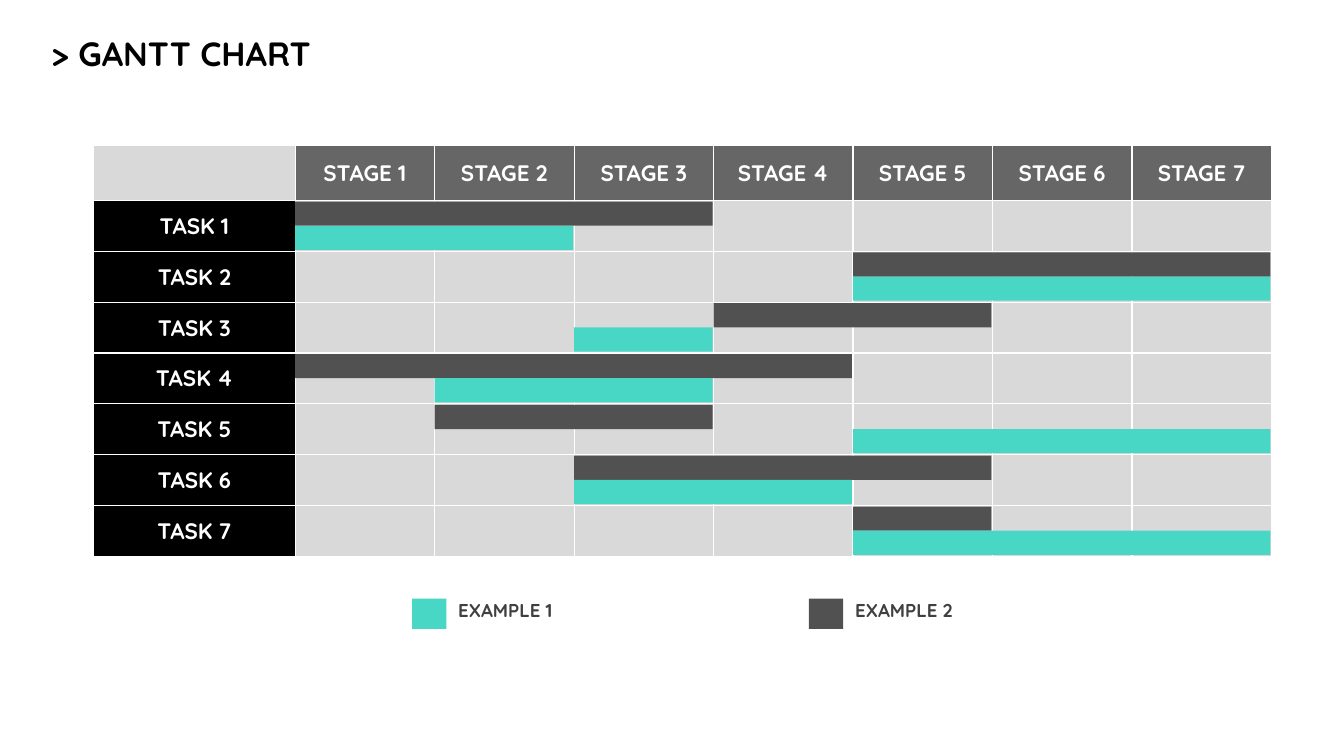
from dataclasses import dataclass

from lxml import etree
from pptx import Presentation
from pptx import util as u
from pptx.dml.color import RGBColor
from pptx.enum import shapes, text
from pptx.oxml import ns

WHITE = RGBColor(0xFF, 0xFF, 0xFF)
BLACK = RGBColor(0x00, 0x00, 0x00)
TEAL = RGBColor(0x48, 0xD7, 0xC4)
CHARCOAL = RGBColor(0x51, 0x51, 0x51)
HEADER_GRAY = RGBColor(0x66, 0x66, 0x66)
CELL_GRAY = RGBColor(0xD9, 0xD9, 0xD9)
LABEL_GRAY = RGBColor(0x40, 0x40, 0x40)

FONT = "Quicksand"
STAGES = 7
LABEL_WIDTH = 2.0
HEADER_HEIGHT = 0.55
BAR_HEIGHT = 0.24
BAR_INSET = 0.01

# Each task has the first and last stage of its charcoal and teal bars.
TASK_SPANS = [
    ((1, 3), (1, 2)),
    ((5, 7), (5, 7)),
    ((4, 5), (3, 3)),
    ((1, 4), (2, 3)),
    ((2, 3), (5, 7)),
    ((3, 5), (3, 4)),
    ((5, 5), (5, 7)),
]


@dataclass
class Box:
    left: float
    top: float
    width: float
    height: float

    def inches(self):
        return [u.Inches(n) for n in (self.left, self.top, self.width, self.height)]


def write_text(frame, words, size=16, color=WHITE, align=text.PP_ALIGN.LEFT):
    paragraph = frame.paragraphs[0]
    paragraph.alignment = align
    paragraph.space_before = u.Pt(0)
    run = paragraph.add_run()
    run.text = words
    run.font.name = FONT
    run.font.size = u.Pt(size)
    run.font.bold = True
    run.font.color.rgb = color


def add_block(parent, box, color):
    shape = parent.add_shape(shapes.MSO_SHAPE.RECTANGLE, *box.inches())
    shape.shadow.inherit = False
    shape.fill.solid()
    shape.fill.fore_color.rgb = color
    shape.line.fill.background()


def format_cell(cell, color):
    properties = cell._tc.get_or_add_tcPr()
    for side in ("lnL", "lnR", "lnT", "lnB"):
        line = etree.SubElement(properties, ns.qn(f"a:{side}"), w=str(u.Pt(1)))
        fill = etree.SubElement(line, ns.qn("a:solidFill"))
        etree.SubElement(fill, ns.qn("a:srgbClr"), val=str(WHITE))
    cell.fill.solid()
    cell.fill.fore_color.rgb = color
    cell.vertical_anchor = text.MSO_ANCHOR.MIDDLE
    cell.margin_left = cell.margin_right = u.Inches(0.13)
    cell.margin_top = cell.margin_bottom = u.Inches(0.07)


def add_title(slide, box):
    title = slide.shapes.title
    title.left, title.top, title.width, title.height = box.inches()
    title.text_frame.vertical_anchor = text.MSO_ANCHOR.TOP
    title.text_frame.word_wrap = True
    write_text(title.text_frame, "> GANTT CHART", size=24, color=BLACK)


def add_schedule(slide, box):
    tasks = len(TASK_SPANS)
    table = slide.shapes.add_table(tasks + 1, STAGES + 1, *box.inches()).table
    stage_width = (box.width - LABEL_WIDTH) / STAGES
    task_height = (box.height - HEADER_HEIGHT) / tasks
    for index, column in enumerate(table.columns):
        column.width = u.Inches(stage_width if index else LABEL_WIDTH)
    for index, row in enumerate(table.rows):
        row.height = u.Inches(task_height if index else HEADER_HEIGHT)
        for stage, cell in enumerate(row.cells):
            words, color = "", CELL_GRAY
            if index == 0 and stage:
                words, color = f"STAGE {stage}", HEADER_GRAY
            elif index and stage == 0:
                words, color = f"TASK {index}", BLACK
            format_cell(cell, color)
            if words:
                write_text(cell.text_frame, words, align=text.PP_ALIGN.CENTER)
    stages_left = box.left + LABEL_WIDTH
    tasks_top = box.top + HEADER_HEIGHT
    for task, spans in enumerate(TASK_SPANS):
        for lane, ((first, last), color) in enumerate(zip(spans, (CHARCOAL, TEAL))):
            bar = Box(
                stages_left + (first - 1) * stage_width,
                tasks_top + task * task_height + BAR_INSET + lane * BAR_HEIGHT,
                (last - first + 1) * stage_width - BAR_INSET,
                BAR_HEIGHT,
            )
            add_block(slide.shapes, bar, color)


def add_legend_entry(slide, box, words, color):
    group = slide.shapes.add_group_shape().shapes
    add_block(group, Box(box.left, box.top + 0.05, 0.34, 0.3), color)
    label = group.add_textbox(*Box(box.left + 0.36, box.top, box.width - 0.36, 0.33).inches())
    label.text_frame.word_wrap = True
    write_text(label.text_frame, words, size=13.3, color=LABEL_GRAY)


def add_legend(slide, box):
    entries = (("EXAMPLE 1", TEAL), ("EXAMPLE 2", CHARCOAL))
    entry_width = 1.91
    step = box.width - entry_width
    for index, (words, color) in enumerate(entries):
        entry = Box(box.left + index * step, box.top, entry_width, box.height)
        add_legend_entry(slide, entry, words, color)


def main():
    presentation = Presentation()
    presentation.slide_width = u.Inches(13.34)
    presentation.slide_height = u.Inches(7.5)
    slide = presentation.slides.add_slide(presentation.slide_layouts.get_by_name("Title Only"))
    add_title(slide, Box(0.41, 0.28, 5.32, 0.58))
    add_schedule(slide, Box(0.93, 1.44, 11.69, 4.08))
    add_legend(slide, Box(4.09, 5.89, 5.85, 0.35))
    presentation.save("out.pptx")


if __name__ == "__main__":
    main()
